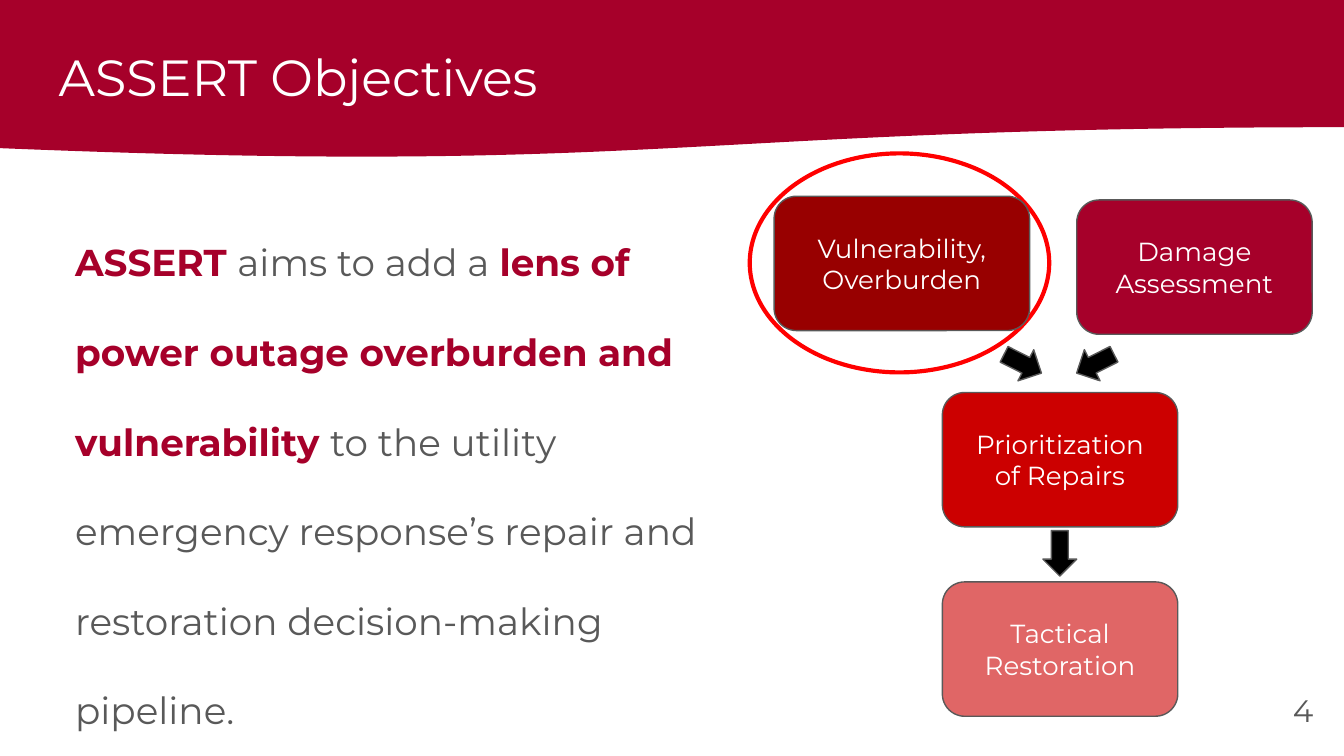
from pptx import Presentation
from pptx.dml.color import RGBColor
from pptx.enum.shapes import MSO_SHAPE
from pptx.enum.text import MSO_ANCHOR, MSO_AUTO_SIZE, PP_ALIGN
from pptx.util import Cm, Pt

WAVE, OVAL = MSO_SHAPE.FLOWCHART_DOCUMENT, MSO_SHAPE.OVAL
ROUND, ARROW = MSO_SHAPE.ROUNDED_RECTANGLE, MSO_SHAPE.DOWN_ARROW
TOP, MIDDLE = MSO_ANCHOR.TOP, MSO_ANCHOR.MIDDLE
LEFT, CENTER, RIGHT = PP_ALIGN.LEFT, PP_ALIGN.CENTER, PP_ALIGN.RIGHT
FONT = "Montserrat"
BRAND, GRAY, WHITE = "A6002A", "595959", "FFFFFF"

TITLE = "ASSERT Objectives"
NUMBER = "4"
BODY = [
    ("ASSERT ", BRAND, True),
    ("aims to add a ", GRAY, False),
    ("lens of power outage overburden and vulnerability ", BRAND, True),
    ("to the utility emergency response’s repair and restoration "
     "decision-making pipeline.", GRAY, False),
]
# lines of text, fill, left, top, width
BOX_H = 2.54
STEPS = [
    (["Damage Assessment"], BRAND, 20.35, 3.78, 4.45),
    (["Prioritization of Repairs"], "CC0000", 17.81, 7.42, 4.45),
    (["Tactical Restoration"], "E06666", 17.81, 11, 4.45),
    (["Vulnerability,", "Overburden"], "980000", 14.63, 3.71, 4.83),
]
# left, top, width, height, turn
ARROWS = [
    (20.37, 6.48, 0.66, 0.79, 63.2),
    (19.71, 10.03, 0.64, 0.86, 0),
    (19, 6.48, 0.66, 0.79, -63.2),
]


def color(code):
    """Turn a hex string into a colour."""
    return RGBColor.from_string(code)


def write(shape, paras, size, align=LEFT, anchor=TOP, space=1):
    """Fill a shape with paragraphs of (text, colour, bold) runs."""
    frame = shape.text_frame
    frame.word_wrap = True
    frame.auto_size = MSO_AUTO_SIZE.NONE
    frame.vertical_anchor = anchor
    frame.margin_left = frame.margin_right = Cm(0.25)
    frame.margin_top = frame.margin_bottom = Cm(0.25)
    for i, runs in enumerate(paras):
        para = frame.add_paragraph() if i else frame.paragraphs[0]
        para.alignment, para.line_spacing = align, space
        for text, code, bold in runs:
            run = para.add_run()
            run.text = text
            font = run.font
            font.name, font.size, font.bold = FONT, Pt(size), bold
            font.color.rgb = color(code)


def draw(kind, area, fill=None, line=None, width=0.75):
    """Add a preset shape; without a colour, fill or line is off."""
    shape = slide.shapes.add_shape(kind, *map(Cm, area))
    shape.shadow.inherit = False
    if fill:
        shape.fill.solid()
        shape.fill.fore_color.rgb = color(fill)
    else:
        shape.fill.background()
    if line:
        shape.line.color.rgb = color(line)
        shape.line.width = Pt(width)
    else:
        shape.line.fill.background()
    return shape


deck = Presentation()
deck.slide_width, deck.slide_height = Cm(25.4), Cm(14.29)
slide = deck.slides.add_slide(deck.slide_layouts[5])

draw(WAVE, (0, 0, 25.43, 3), BRAND)
draw(OVAL, (14.17, 2.9, 5.66, 4.14), line="FF0000", width=2.25)

title = slide.shapes.title
title.left, title.top = Cm(0.86), Cm(0.61)
title.width, title.height = Cm(23.67), Cm(1.6)
write(title, [[(TITLE, WHITE, False)]], 27.2)
slide.shapes.element.append(title.element)  # in front of the banner

number = slide.shapes.add_textbox(Cm(23.55), Cm(12.95), Cm(1.52), Cm(1.09))
write(number, [[(NUMBER, GRAY, False)]], 16.6, RIGHT, MIDDLE, 0.8)

for lines, fill, left, top, wide in STEPS:
    box = draw(ROUND, (left, top, wide, BOX_H), fill, GRAY)
    write(box, [[(text, WHITE, False)] for text in lines], 14, CENTER, MIDDLE)

for *area, turn in ARROWS:
    draw(ARROW, area, "000000", GRAY).rotation = turn

body = slide.shapes.add_textbox(Cm(1.17), Cm(3.43), Cm(12.98), Cm(10.62))
write(body, [BODY], 20, space=2)

deck.save("out.pptx")
